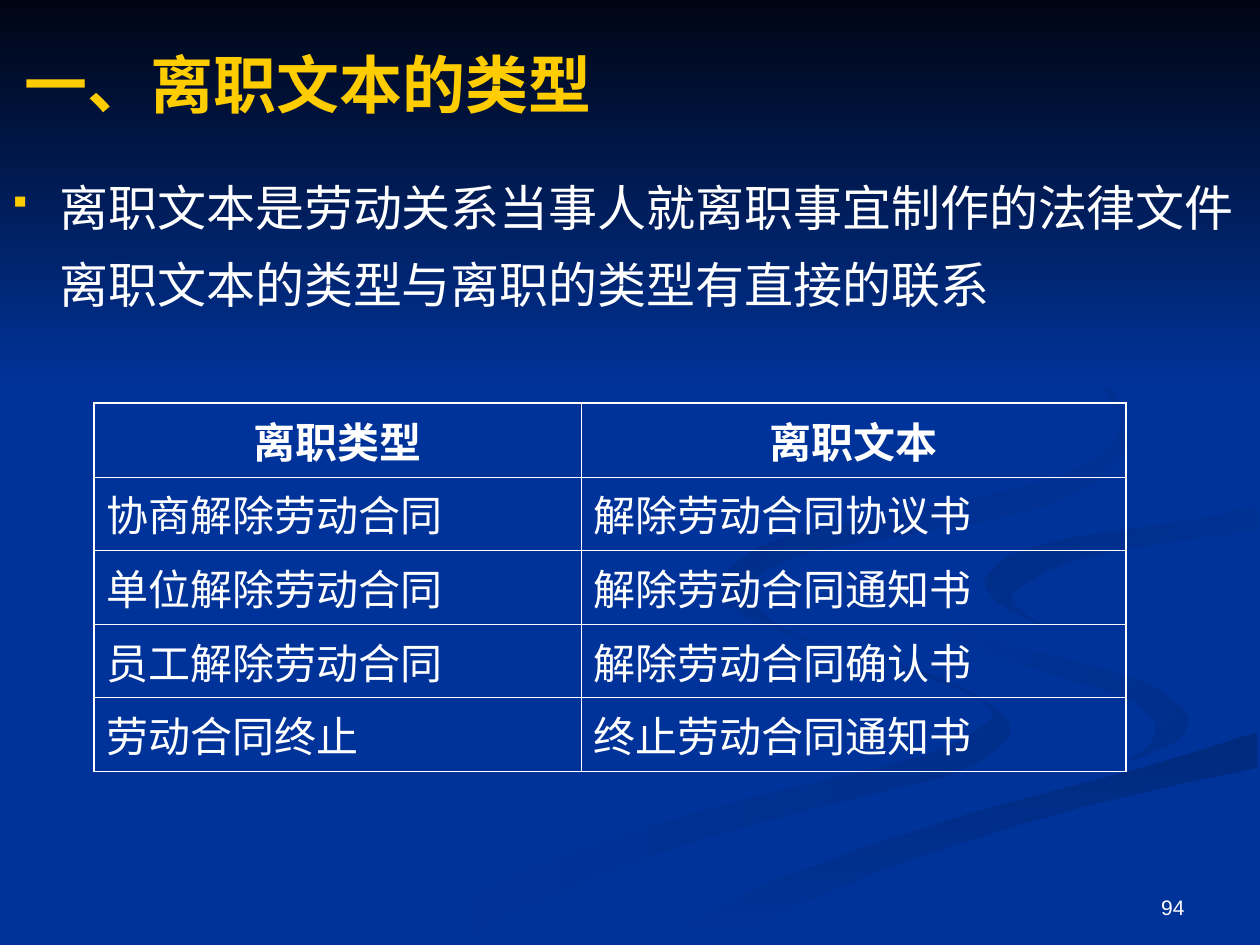
from collections import namedtuple

from lxml import etree
from pptx import Presentation
from pptx.dml import color
from pptx.enum import text
from pptx.oxml import ns
from pptx.util import Cm, Pt

COLORS = {"blue": "003399", "night": "000514", "yellow": "FFCC00", "white": "FFFFFF",
          "left": "002E8B", "lower": "002A7D", "upper": "002D86", "top": "002B82"}
SERIF, SANS, CJK, SYMBOLS = "Times New Roman", "Arial", "Noto Sans CJK SC", "Wingdings"
GRID = Cm(0.0254)
CURVE_STEPS = 4
Box = namedtuple("Box", "left top width height")
Ribbon = namedtuple("Ribbon", "edges start end angle")

EDGES = {
    "left outer": [(575, 459), (570, 472), (602, 495), (679, 519), (741, 539), (783, 559),
                   (783, 574), (739, 598), (652, 620), (539, 649), (417, 690), (300, 749)],
    "left inner": [(361, 749), (431, 714), (532, 674), (651, 640), (756, 614), (797, 588),
                   (795, 567), (745, 538), (682, 519), (614, 496), (576, 469), (575, 459)],
    "right outer": [(724, 464), (733, 483), (774, 503), (850, 524), (905, 540), (939, 562),
                    (942, 579), (926, 593), (894, 605)],
    "right inner": [(894, 605), (914, 589), (915, 571), (892, 553), (838, 536), (766, 512),
                    (733, 488), (724, 464)],
    "middle tail": [(894, 605), (780, 634), (663, 668), (573, 703), (477, 749)],
    "lower crest": [(519, 747), (599, 706), (696, 669), (797, 638), (903, 610), (998, 581)],
    "lower base": [(998, 609), (903, 630), (821, 651), (752, 672), (695, 692), (614, 726),
                   (571, 749), (503, 749)],
    "middle bend": [(998, 538), (904, 519), (832, 498), (786, 473), (781, 460)],
    "upper outer": [(781, 460), (800, 442), (850, 427), (933, 415), (998, 402)],
    "upper inner": [(998, 420), (936, 429), (859, 443), (809, 466), (806, 480), (826, 496)],
    "upper tip": [(826, 496), (791, 478), (781, 460)],
    "middle roof": [(998, 387), (920, 401), (830, 415), (755, 432), (724, 464)],
    "top outer": [(683, 430), (786, 412), (855, 391), (889, 362), (894, 344), (880, 307),
                  (843, 275), (762, 233)],
    "top inner": [(762, 233), (846, 279), (885, 320), (886, 348), (842, 378), (733, 404),
                  (625, 426), (580, 451), (580, 474), (622, 500)],
    "top tip": [(622, 500), (593, 470), (624, 444), (683, 430)]}

RIBBONS = [
    Ribbon(["left outer", "left inner"], "blue", "left", 0),
    Ribbon(["right outer", "right inner"], "blue", "left", 45),
    Ribbon(["lower crest", "lower base"], "lower", "blue", 90),
    Ribbon(["right outer", "middle tail", "lower crest", "middle bend", "upper outer",
            "middle roof"], "blue", "blue", 0),
    Ribbon(["upper outer", "upper inner", "upper tip"], "upper", "blue", 45),
    Ribbon(["top outer", "top inner", "top tip"], "top", "blue", 45)]

SEPARATION_TYPES = [
    ("离职类型", "离职文本"),
    ("协商解除劳动合同", "解除劳动合同协议书"),
    ("单位解除劳动合同", "解除劳动合同通知书"),
    ("员工解除劳动合同", "解除劳动合同确认书"),
    ("劳动合同终止", "终止劳动合同通知书")]


def rgb(name):
    """Return the named colour."""
    return color.RGBColor.from_string(COLORS[name])


def add_run(paragraph, wording, size, font, tint="white", bold=False):
    """Append one styled run, with its East Asian font."""
    run = paragraph.add_run()
    run.text = wording
    run.font.size, run.font.name, run.font.bold = Pt(size), font, bold
    run.font.color.rgb = rgb(tint)
    etree.SubElement(run.font._element, ns.qn("a:ea"), typeface=CJK)


def add_frame(slide, box, anchor):
    """Add a wrapping text box and return its text frame."""
    frame = slide.shapes.add_textbox(*box).text_frame
    frame.word_wrap = True
    frame.vertical_anchor = anchor
    return frame


def spline(before, start, end, after, t):
    """Return one coordinate of a Catmull-Rom curve from start to end."""
    return start + t / 2 * (end - before + t * (
        2 * before - 5 * start + 4 * end - after + t * (3 * (start - end) + after - before)))


def smooth(knots):
    """Return points along a smooth curve through the knots."""
    padded = [knots[0], *knots, knots[-1]]
    curve = [tuple(spline(*axis, step / CURVE_STEPS) for axis in zip(*window))
             for window in zip(padded, padded[1:], padded[2:], padded[3:])
             for step in range(CURVE_STEPS)]
    return curve + [knots[-1]]


def add_area(slide, box, outline, start, end, angle):
    """Draw a closed outline, filled flat or from start colour to end colour."""
    builder = slide.shapes.build_freeform(*outline[0], scale=GRID)
    builder.add_line_segments(outline[1:], close=True)
    area = builder.convert_to_shape(box.left, box.top)
    area.shadow.inherit = False
    area.line.fill.background()
    if start == end:
        area.fill.solid()
        area.fill.fore_color.rgb = rgb(start)
        return
    area.fill.gradient()
    area.fill.gradient_angle = (360 - angle) % 360
    for position, (stop, tint) in enumerate(zip(area.fill.gradient_stops, (start, end))):
        stop.color.rgb = rgb(tint)
        stop.position = position


def add_backdrop(slide, box):
    """Draw the blue ground with its ribbons and the dark top."""
    slide.background.fill.solid()
    slide.background.fill.fore_color.rgb = rgb("blue")
    for ribbon in RIBBONS:
        outline = [point for edge in ribbon.edges for point in smooth(EDGES[edge])]
        add_area(slide, box, outline, ribbon.start, ribbon.end, ribbon.angle)
    right, bottom = box.width / GRID, 308
    night_sky = [(0, 0), (0, bottom), (right, bottom), (right, 0)]
    add_area(slide, box, night_sky, "night", "blue", 90)


def add_title(slide, box):
    """Write the heading."""
    frame = add_frame(slide, box, text.MSO_ANCHOR.MIDDLE)
    add_run(frame.paragraphs[0], "一、离职文本的类型", 36, SERIF, "yellow", True)


def add_definition(slide, box):
    """Write the bulleted definition and its unbulleted second line."""
    frame = add_frame(slide, box, text.MSO_ANCHOR.TOP)
    bulleted, continued = frame.paragraphs[0], frame.add_paragraph()
    hanging = Cm(0.95)
    for paragraph, indent in ((bulleted, -hanging), (continued, 0)):
        properties = paragraph._p.get_or_add_pPr()
        properties.set("marL", str(hanging))
        properties.set("indent", str(indent))
        paragraph.line_spacing = 1.1
    continued.space_before = Pt(7)
    properties = bulleted._p.get_or_add_pPr()
    tint = etree.SubElement(properties, ns.qn("a:buClr"))
    etree.SubElement(tint, ns.qn("a:srgbClr"), val=COLORS["yellow"])
    etree.SubElement(properties, ns.qn("a:buSzPct"), val="70000")
    etree.SubElement(properties, ns.qn("a:buFont"), typeface=SYMBOLS)
    etree.SubElement(properties, ns.qn("a:buChar"), char="§")
    add_run(bulleted, "离职文本是劳动关系当事人就离职事宜制作的法律文件", 28, CJK)
    add_run(continued, "离职文本的类型与离职的类型有直接的联系", 28, CJK)


def add_borders(cell, outer_sides):
    """Rule a cell in white, heavier on the outer sides."""
    properties = cell._tc.get_or_add_tcPr()
    for index, side in enumerate("LRTB"):
        width = Pt(1.08 if side in outer_sides else 0.45)
        line = etree.Element(ns.qn(f"a:ln{side}"), w=str(width))
        fill = etree.SubElement(line, ns.qn("a:solidFill"))
        etree.SubElement(fill, ns.qn("a:srgbClr"), val=COLORS["white"])
        properties.insert(index, line)


def add_types_table(slide, box):
    """Set out each type of separation beside its document."""
    last = len(SEPARATION_TYPES) - 1
    table = slide.shapes.add_table(last + 1, 2, *box).table
    table.horz_banding = False
    table.columns[0].width = Cm(9.82)
    table.columns[1].width = box.width - Cm(9.82)
    for row, wordings in enumerate(SEPARATION_TYPES):
        for column, wording in enumerate(wordings):
            cell = table.cell(row, column)
            cell.fill.background()
            add_borders(cell, "LR"[column] + "T" * (row == 0) + "B" * (row == last))
            paragraph = cell.text_frame.paragraphs[0]
            if row == 0:
                paragraph.alignment = text.PP_ALIGN.CENTER
            add_run(paragraph, wording, 24, SERIF, bold=row == 0)


def add_page_number(slide, box):
    """Write the page number at the lower right."""
    paragraph = add_frame(slide, box, text.MSO_ANCHOR.BOTTOM).paragraphs[0]
    paragraph.alignment = text.PP_ALIGN.RIGHT
    add_run(paragraph, "94", 12, SANS)


def main():
    """Build the slide and save it."""
    deck = Presentation()
    deck.slide_width, deck.slide_height = Cm(25.4), Cm(19.05)
    slide = deck.slides.add_slide(deck.slide_layouts[6])
    add_backdrop(slide, Box(0, 0, deck.slide_width, deck.slide_height))
    add_page_number(slide, Box(Cm(18.21), Cm(17.35), Cm(5.92), Cm(1.32)))
    add_title(slide, Box(Cm(0.25), Cm(0.1), Cm(22.86), Cm(3.18)))
    add_types_table(slide, Box(Cm(1.9), Cm(8.13), Cm(20.8), Cm(7.42)))
    add_definition(slide, Box(0, Cm(3.33), Cm(27.3), Cm(4.04)))
    deck.save("out.pptx")


if __name__ == "__main__":
    main()
